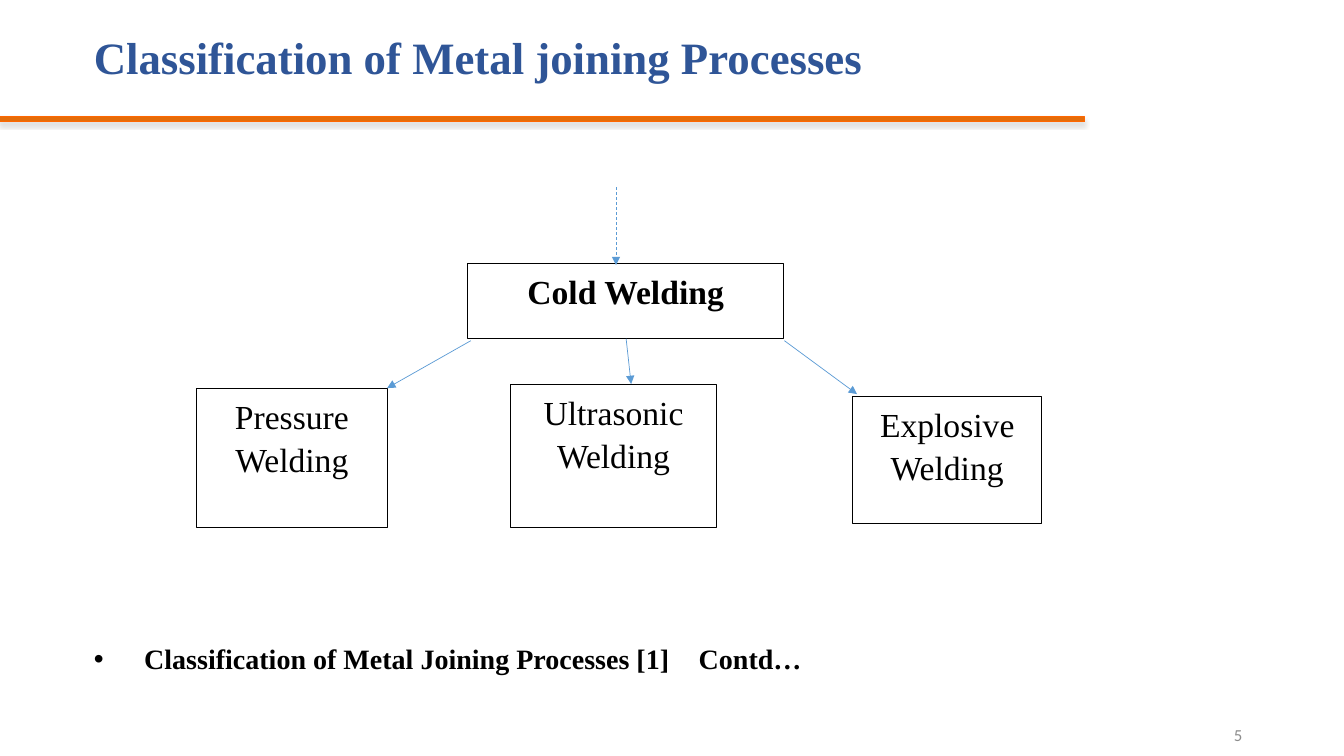
from lxml.etree import SubElement
from pptx import Presentation
from pptx.dml.color import RGBColor
from pptx.enum.dml import MSO_LINE_DASH_STYLE as Dash
from pptx.enum.shapes import MSO_CONNECTOR_TYPE as Connector, MSO_SHAPE as Shape
from pptx.enum.text import MSO_ANCHOR as Anchor, MSO_AUTO_SIZE as AutoSize, PP_ALIGN as Align
from pptx.oxml.ns import qn
from pptx.util import Inches, Pt


def rgb(value):
    return RGBColor.from_string(value)


class SlideBuilder:
    SERIF = "Times New Roman"
    BLACK, WHITE = "000000", "FFFFFF"
    TITLE_BLUE, ARROW_BLUE = "2F5597", "5B9BD5"
    GREY = "8C8C8C"

    def __init__(self, slide):
        self.slide = slide

    def set_text(self, frame, text, size, color=BLACK, bold=False, font=SERIF,
                 align=Align.LEFT, anchor=Anchor.MIDDLE, spacing=None):
        """Fill a text frame with one styled paragraph."""
        frame.text = text
        frame.word_wrap = True
        frame.auto_size = AutoSize.NONE
        frame.vertical_anchor = anchor
        paragraph = frame.paragraphs[0]
        paragraph.alignment = align
        paragraph.line_spacing = spacing
        paragraph.space_before = Pt(0)
        for run in paragraph.runs:
            run.font.name = font
            run.font.size = Pt(size)
            run.font.bold = bold
            run.font.color.rgb = rgb(color)
        return paragraph

    def place(self, holder, left, top, width, height):
        holder.left, holder.top = Inches(left), Inches(top)
        holder.width, holder.height = Inches(width), Inches(height)

    def title(self, text):
        heading = self.slide.shapes.title
        self.place(heading, 0.83, 0.17, 7.96, 0.85)
        self.set_text(heading.text_frame, text, 32, self.TITLE_BLUE, True, spacing=0.9)

    def caption(self, parts, stops):
        """Set the caption parts on tab stops, at the foot of the body placeholder."""
        body = self.slide.placeholders[1]
        self.place(body, 0.83, 1.33, 11.5, 5.53)
        frame = body.text_frame
        frame.margin_bottom = Inches(0.16)
        properties = frame.paragraphs[0]._p.get_or_add_pPr()
        properties.set("marL", "0")
        properties.set("indent", "0")
        SubElement(properties, qn("a:buNone"))
        tabs = SubElement(properties, qn("a:tabLst"))
        for stop in stops:
            SubElement(tabs, qn("a:tab"), pos=str(Inches(stop)), algn="l")
        text = "".join("\t" + part for part in parts)
        self.set_text(frame, text, 20, bold=True, anchor=Anchor.BOTTOM, spacing=0.9)

    def rectangle(self, left, top, width, height, fill, line):
        shape = self.slide.shapes.add_shape(
            Shape.RECTANGLE, Inches(left), Inches(top), Inches(width), Inches(height))
        shape.shadow.inherit = False
        shape.fill.solid()
        shape.fill.fore_color.rgb = rgb(fill)
        shape.line.color.rgb = rgb(line)
        shape.line.width = Pt(0.75)
        return shape

    def header_rule(self):
        rule = self.rectangle(0, 1.16, 10.76, 0.05, "E46C0A", "FF6600")
        effects = rule._element.spPr.find(qn("a:effectLst"))
        shadow = SubElement(effects, qn("a:outerShdw"), blurRad=str(Pt(3)),
                            dist=str(Pt(1.8)), dir="5400000", rotWithShape="0")
        color = SubElement(shadow, qn("a:srgbClr"), val="808080")
        SubElement(color, qn("a:alpha"), val="35000")

    def process(self, text, left, top, width, height, bold=False):
        box = self.rectangle(left, top, width, height, self.WHITE, self.BLACK)
        paragraph = self.set_text(box.text_frame, text, 24, bold=bold, align=Align.CENTER,
                                  anchor=Anchor.TOP, spacing=1.07)
        paragraph.space_after = Pt(8)

    def arrow(self, start, end, dashed=False):
        link = self.slide.shapes.add_connector(
            Connector.STRAIGHT, *(Inches(value) for value in (*start, *end)))
        link.line.color.rgb = rgb(self.ARROW_BLUE)
        link.line.width = Pt(0.5)
        if dashed:
            link.line.dash_style = Dash.DASH
        properties = link._element.spPr
        SubElement(properties.find(qn("a:ln")), qn("a:tailEnd"), type="triangle")
        SubElement(properties, qn("a:effectLst"))

    def page_number(self, text):
        number = self.slide.shapes.add_textbox(
            Inches(9.42), Inches(7.09), Inches(3), Inches(0.4))
        self.set_text(number.text_frame, text, 12, self.GREY, font="Calibri", align=Align.RIGHT)


def main():
    deck = Presentation()
    deck.slide_width, deck.slide_height = Inches(13.33), Inches(7.5)
    builder = SlideBuilder(deck.slides.add_slide(deck.slide_layouts[1]))

    builder.header_rule()
    builder.title("Classification of Metal joining Processes")
    builder.caption(["Classification of Metal Joining Processes [1]", "Contd…"], [2.91, 9.92])
    builder.page_number("5")

    builder.process("Cold Welding", 4.64, 2.61, 3.13, 0.75, bold=True)
    builder.arrow((6.11, 1.86), (6.11, 2.63), dashed=True)

    branches = [
        ("Pressure Welding", (1.95, 3.85, 1.89, 1.38), (4.67, 3.38), (3.84, 3.85)),
        ("Ultrasonic Welding", (5.06, 3.81, 2.05, 1.42), (6.21, 3.36), (6.26, 3.81)),
        ("Explosive Welding", (8.46, 3.93, 1.87, 1.26), (7.78, 3.38), (8.5, 3.91)),
    ]
    for name, bounds, start, end in branches:
        builder.process(name, *bounds)
        builder.arrow(start, end)

    deck.save("out.pptx")


if __name__ == "__main__":
    main()
